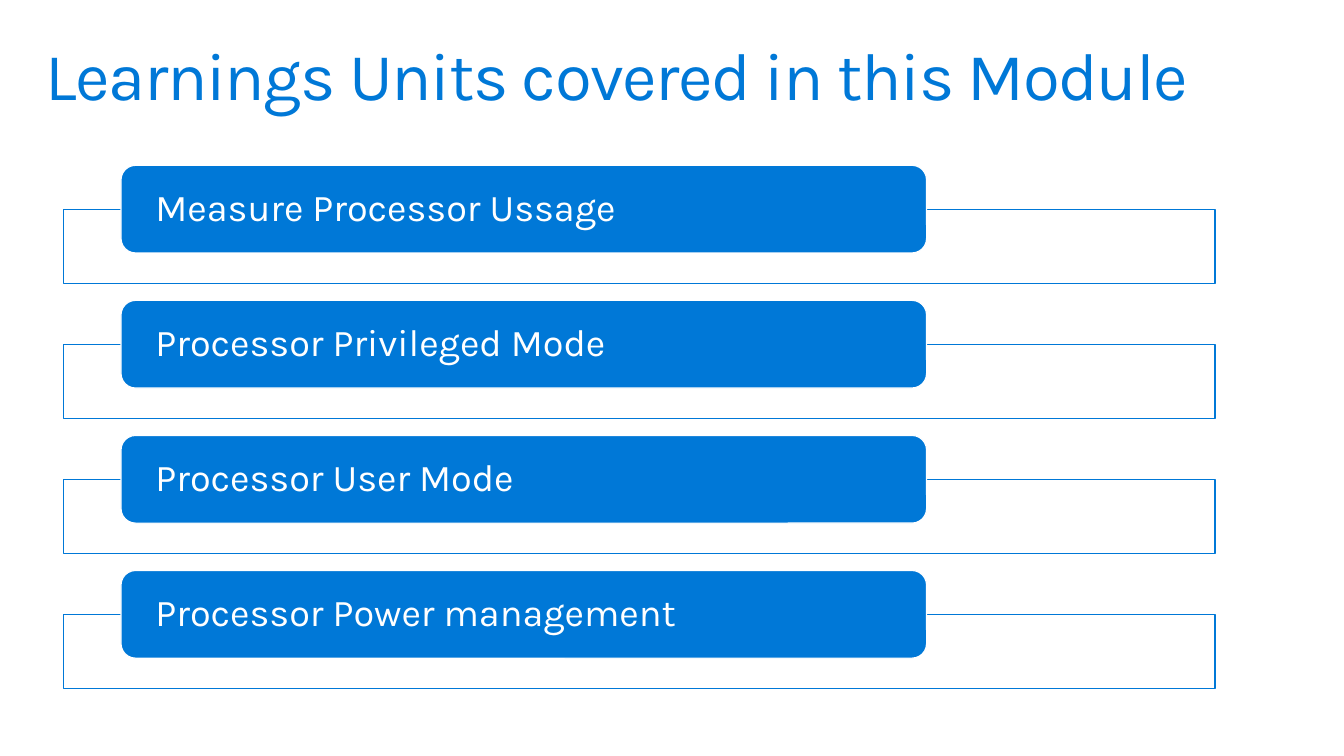
from lxml.etree import SubElement
from pptx import Presentation
from pptx.dml.color import RGBColor
from pptx.enum.shapes import MSO_SHAPE as Shape
from pptx.enum.text import MSO_ANCHOR as Anchor, PP_ALIGN as Align
from pptx.oxml.ns import qn
from pptx.util import Inches, Pt

COLORS = {"blue": "0078D7", "white": "FFFFFF"}
UNITS = [
    "Measure Processor Ussage",
    "Processor Privileged Mode",
    "Processor User Mode",
    "Processor Power management",
]
FIRST_TOP, ROW_PITCH = 1.64, 1.34
FRAME_LEFT, FRAME_WIDTH, FRAME_HEIGHT = 0.63, 11.42, 0.74
LABEL_LEFT, LABEL_WIDTH, LABEL_HEIGHT = 1.2, 7.99, 0.87


def add_box(kind, left, top, width, height, fill, line):
    shape = slide.shapes.add_shape(
        kind, Inches(left), Inches(top), Inches(width), Inches(height))
    shape.shadow.inherit = False
    shape.fill.solid()
    shape.fill.fore_color.rgb = RGBColor.from_string(COLORS[fill])
    shape.line.color.rgb = RGBColor.from_string(COLORS[line])
    shape.line.width = Pt(0.85)
    return shape


def write_text(shape, text, size, color, anchor, side_inset, end_inset):
    frame = shape.text_frame
    frame.word_wrap = True
    frame.vertical_anchor = anchor
    frame.margin_left = frame.margin_right = Inches(side_inset)
    frame.margin_top = frame.margin_bottom = Inches(end_inset)
    paragraph = frame.paragraphs[0]
    paragraph.alignment = Align.LEFT
    paragraph.line_spacing = 0.9
    run = paragraph.add_run()
    run.text = text
    run.font.name = "Karla"
    run.font.size = Pt(size)
    run.font.color.rgb = RGBColor.from_string(COLORS[color])
    return run


presentation = Presentation()
presentation.slide_width = Inches(13.33)
presentation.slide_height = Inches(7.5)
slide = presentation.slides.add_slide(presentation.slide_layouts[6])

# Title, with slightly tightened letters
title = slide.shapes.add_textbox(
    Inches(0.29), Inches(0.32), Inches(12.75), Inches(0.98))
title_run = write_text(title, "Learnings Units covered in this Module",
                       48, "blue", Anchor.TOP, 0.16, 0.1)
title_run.font._element.set("spc", "-100")

# One outlined frame and one label per learning unit
for row, unit in enumerate(UNITS):
    top = FIRST_TOP + row * ROW_PITCH
    frame_top = top + LABEL_HEIGHT / 2
    unit_frame = add_box(Shape.RECTANGLE, FRAME_LEFT, frame_top,
                         FRAME_WIDTH, FRAME_HEIGHT, "white", "blue")
    fill_color = unit_frame.fill._xPr.find(".//" + qn("a:srgbClr"))
    SubElement(fill_color, qn("a:alpha"), val="90000")

    label = add_box(Shape.ROUNDED_RECTANGLE, LABEL_LEFT, top,
                    LABEL_WIDTH, LABEL_HEIGHT, "blue", "white")
    write_text(label, unit, 27, "white", Anchor.MIDDLE, 0.3, 0)

presentation.save("out.pptx")
